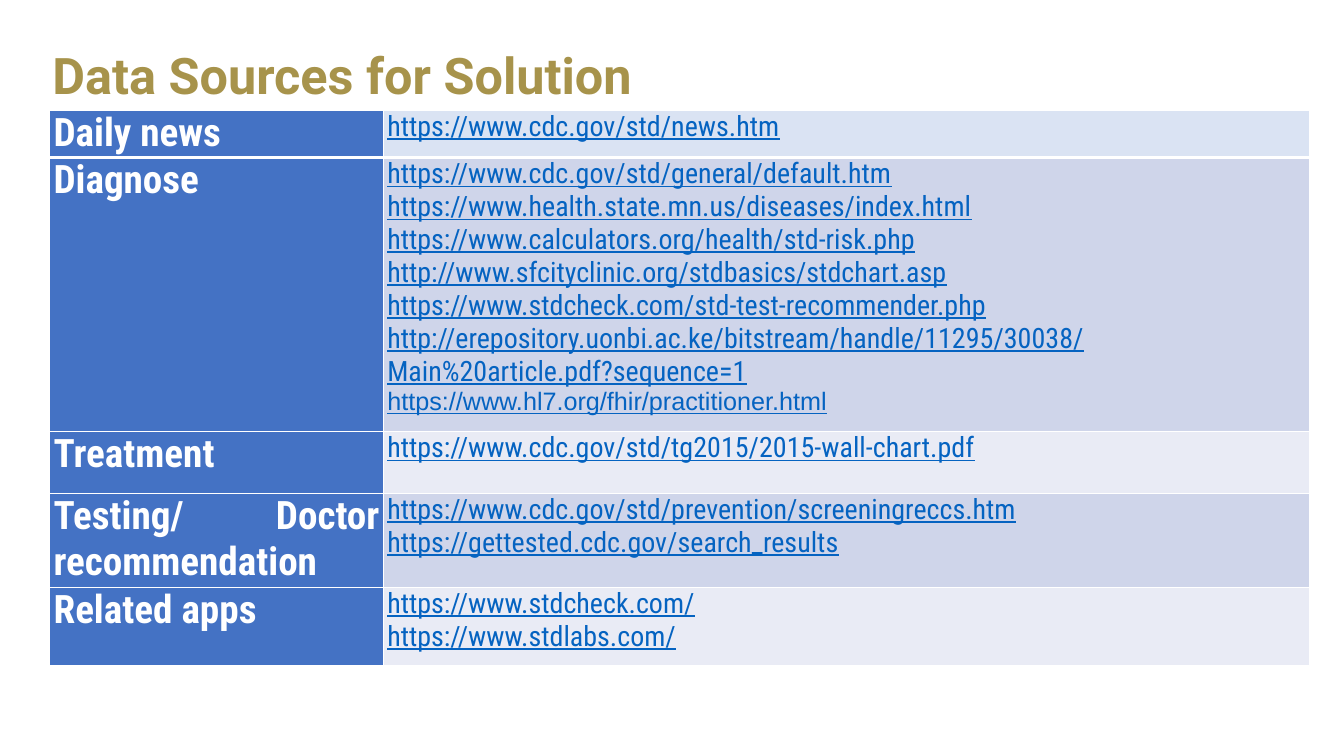
from dataclasses import dataclass

from lxml.etree import SubElement
from pptx import Presentation
from pptx.dml.color import RGBColor as Rgb
from pptx.enum.text import MSO_ANCHOR as Anchor, PP_ALIGN as Align
from pptx.oxml.ns import qn
from pptx.util import Cm, Pt


@dataclass(frozen=True)
class Theme:
    gold: str = "A7934B"
    white: str = "FFFFFF"
    topic_fill: str = "4472C4"
    link: str = "0563C1"
    news_fill: str = "DAE3F3"
    dark_band: str = "CFD5EA"
    light_band: str = "E9EBF5"
    heading_font: str = "Roboto"
    body_font: str = "Roboto Condensed"
    plain_font: str = "Arial"
    heading_size: int = 36
    topic_size: int = 28
    link_size: int = 20
    plain_size: int = 18
    thin: int = 1
    thick: int = 3


THEME = Theme()
HEADING = {"name": THEME.heading_font, "size": Pt(THEME.heading_size), "bold": True}
TOPIC = {"name": THEME.body_font, "size": Pt(THEME.topic_size), "bold": True}
LINK = {"name": THEME.body_font, "size": Pt(THEME.link_size), "bold": False, "underline": True}
PLAIN_LINK = {**LINK, "name": THEME.plain_font, "size": Pt(THEME.plain_size)}
CELL_MARGINS = {
    "margin_left": Cm(0.1),
    "margin_right": Cm(0.1),
    "margin_top": 0,
    "margin_bottom": 0,
}
TITLE_FRAME = {"word_wrap": True, "vertical_anchor": Anchor.MIDDLE}
TABLE_FLAGS = {"first_row": False, "horz_banding": False}

PLAIN_SOURCE = "https://www.hl7.org/fhir/practitioner.html"
SOURCES = [
    ("Daily news", 1.14, THEME.news_fill, ["https://www.cdc.gov/std/news.htm"]),
    ("Diagnose", 6.91, THEME.dark_band, [
        "https://www.cdc.gov/std/general/default.htm",
        "https://www.health.state.mn.us/diseases/index.html",
        "https://www.calculators.org/health/std-risk.php",
        "http://www.sfcityclinic.org/stdbasics/stdchart.asp",
        "https://www.stdcheck.com/std-test-recommender.php",
        "http://erepository.uonbi.ac.ke/bitstream/handle/11295/30038/Main%20article.pdf?sequence=1",
        PLAIN_SOURCE,
    ]),
    ("Treatment", 1.55, THEME.light_band, ["https://www.cdc.gov/std/tg2015/2015-wall-chart.pdf"]),
    ("Testing/ Doctor recommendation", 2.31, THEME.dark_band, [
        "https://www.cdc.gov/std/prevention/screeningreccs.htm",
        "https://gettested.cdc.gov/search_results",
    ]),
    ("Related apps", 1.96, THEME.light_band, [
        "https://www.stdcheck.com/",
        "https://www.stdlabs.com/",
    ]),
]


def apply_format(target, values):
    for attribute, value in values.items():
        setattr(target, attribute, value)


def write_line(paragraph, text, values, color, align):
    paragraph.alignment = align
    run = paragraph.add_run()
    run.text = text
    apply_format(run.font, values)
    run.font.color.rgb = Rgb.from_string(color)


def draw_borders(cell, top, bottom):
    properties = cell._tc.get_or_add_tcPr()
    widths = {"L": THEME.thin, "R": THEME.thin, "T": top, "B": bottom}
    for side, width in widths.items():
        border = SubElement(properties, qn(f"a:ln{side}"), w=str(Pt(width)))
        SubElement(SubElement(border, qn("a:solidFill")), qn("a:srgbClr"), val=THEME.white)


def fill_cell(cell, lines, color, background, row):
    draw_borders(
        cell,
        top=THEME.thick if row == 1 else THEME.thin,
        bottom=THEME.thick if row == 0 else THEME.thin,
    )
    apply_format(cell, CELL_MARGINS)
    cell.fill.solid()
    cell.fill.fore_color.rgb = Rgb.from_string(background)
    frame = cell.text_frame
    for index, (text, values) in enumerate(lines):
        paragraph = frame.add_paragraph() if index else frame.paragraphs[0]
        write_line(paragraph, text, values, color, Align.JUSTIFY)


def add_heading(slide, left, top, width, height):
    heading = slide.shapes.add_textbox(left, top, width, height)
    apply_format(heading.text_frame, TITLE_FRAME)
    paragraph = heading.text_frame.paragraphs[0]
    paragraph.line_spacing = 0.9
    write_line(paragraph, "Data Sources for Solution", HEADING, THEME.gold, Align.LEFT)


def add_sources(slide, left, top, width, height):
    sources = slide.shapes.add_table(len(SOURCES), 2, left, top, width, height).table
    apply_format(sources, TABLE_FLAGS)
    topic_width = Cm(8.41)
    sources.columns[0].width = topic_width
    sources.columns[1].width = width - topic_width
    for row, (topic, row_height, band, links) in enumerate(SOURCES):
        sources.rows[row].height = Cm(row_height)
        fill_cell(sources.cell(row, 0), [(topic, TOPIC)], THEME.white, THEME.topic_fill, row)
        link_lines = [(link, PLAIN_LINK if link == PLAIN_SOURCE else LINK) for link in links]
        fill_cell(sources.cell(row, 1), link_lines, THEME.link, band, row)


def main():
    deck = Presentation()
    apply_format(deck, {"slide_width": Cm(33.87), "slide_height": Cm(19.05)})
    slide = deck.slides.add_slide(deck.slide_layouts[6])
    add_heading(slide, Cm(1.07), Cm(0.56), Cm(31.75), Cm(2.82))
    sources_height = Cm(sum(row_height for _, row_height, _, _ in SOURCES))
    add_sources(slide, Cm(1.25), Cm(2.78), Cm(31.75), sources_height)
    deck.save("out.pptx")


if __name__ == "__main__":
    main()
